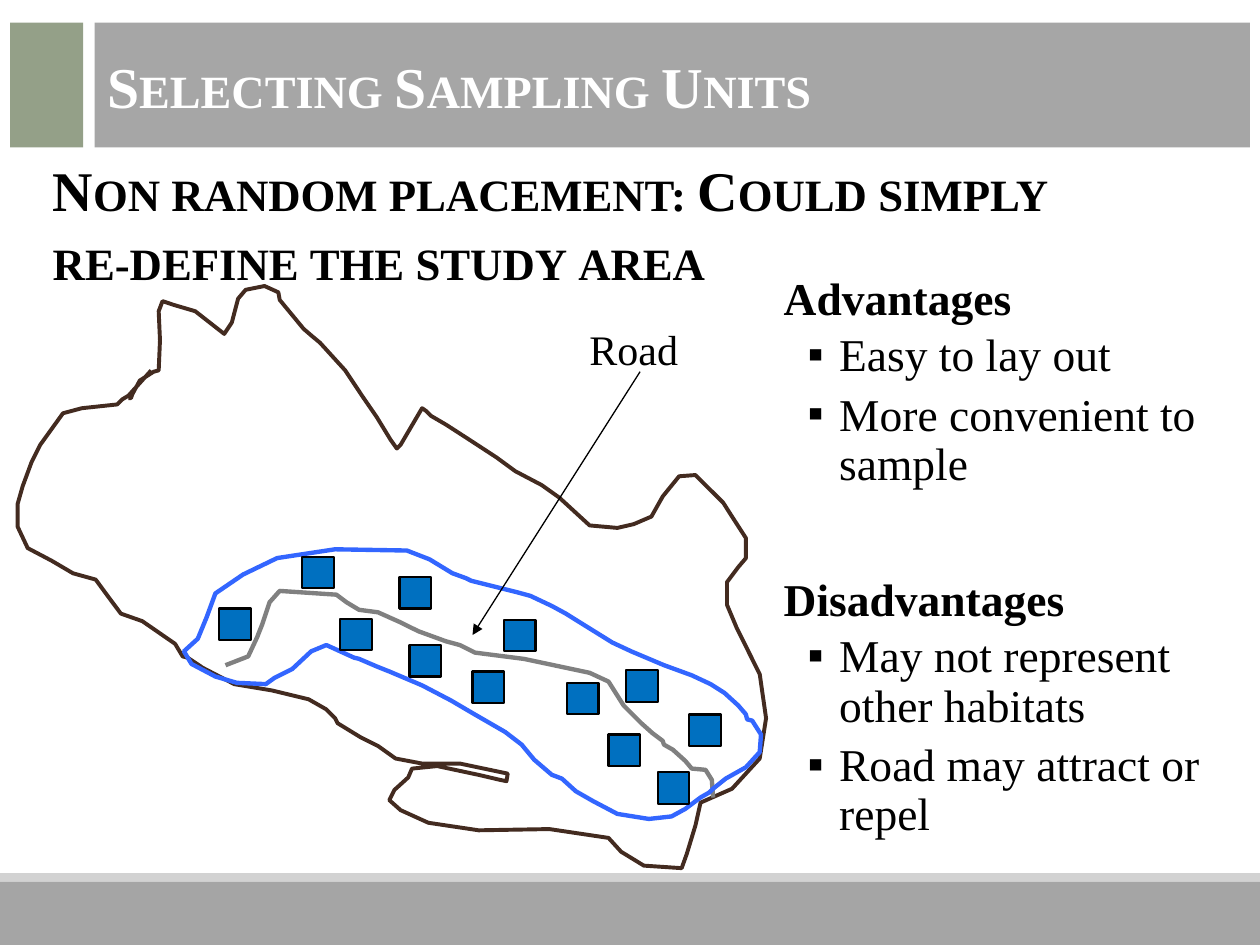
from dataclasses import dataclass

from lxml.etree import SubElement
from pptx import Presentation
from pptx.dml.color import RGBColor
from pptx.enum.shapes import MSO_CONNECTOR, MSO_SHAPE
from pptx.enum.text import MSO_ANCHOR, MSO_AUTO_SIZE, PP_ALIGN
from pptx.oxml.ns import qn
from pptx.util import Inches, Pt


@dataclass(frozen=True)
class Theme:
    font: str = "Times New Roman"
    title_size: int = 33
    subtitle_size: int = 32
    body_size: int = 26
    label_size: int = 24
    black: str = "000000"
    white: str = "FFFFFF"
    banner: str = "A6A6A6"
    accent: str = "94A088"
    footer: str = "808080"
    footer_edge: str = "BFBFBF"
    boundary: str = "432B20"
    road: str = "808080"
    sampled_area: str = "3366FF"
    plot: str = "0070C0"


theme = Theme()
presentation = Presentation()
presentation.slide_width, presentation.slide_height = Inches(10), Inches(7.5)
slide = presentation.slides.add_slide(presentation.slide_layouts[1])
shapes = slide.shapes

# The slide is a grid of 1000 columns by 750 rows of square cells
cell = presentation.slide_width // 1000


def add_block(left, top, width, height, fill):
    block = shapes.add_shape(MSO_SHAPE.RECTANGLE, left * cell, top * cell, width * cell, height * cell)
    block.shadow.inherit = False
    block.fill.solid()
    block.fill.fore_color.rgb = RGBColor.from_string(fill)
    block.line.fill.background()
    return block


def style_text(paragraph, size, color=theme.black, bold=False, small_caps=False):
    paragraph.font.name = theme.font
    paragraph.font.size = Pt(size)
    paragraph.font.bold = bold
    paragraph.font.color.rgb = RGBColor.from_string(color)
    if small_caps:
        for run in paragraph.runs:
            run._r.get_or_add_rPr().set("cap", "small")


# Footer bands
for top, height, fill in ((700, 50, theme.footer), (693, 7, theme.footer_edge)):
    band = add_block(0, top, 1000, height, fill)
    SubElement(band.fill._xPr.find(f".//{qn('a:srgbClr')}"), qn("a:alpha"), val="70000")

# Title banner
title = shapes.title
title.left, title.top, title.width, title.height = (n * cell for n in (75, 18, 917, 99))
title.fill.solid()
title.fill.fore_color.rgb = RGBColor.from_string(theme.banner)
title.text_frame.text = "Selecting Sampling Units"
title.text_frame.vertical_anchor = MSO_ANCHOR.MIDDLE
title.text_frame.auto_size = MSO_AUTO_SIZE.NONE
title.text_frame.paragraphs[0].alignment = PP_ALIGN.LEFT
style_text(title.text_frame.paragraphs[0], theme.title_size, theme.white, bold=True, small_caps=True)
add_block(8, 18, 58, 99, theme.accent)

subtitle = shapes.add_textbox(32 * cell, 118 * cell, 841 * cell, 118 * cell).text_frame
subtitle.word_wrap = True
subtitle.text = "Non random placement: Could simply\nre-define the study area"
for paragraph in subtitle.paragraphs:
    paragraph.line_spacing = Pt(39)
    style_text(paragraph, theme.subtitle_size, bold=True, small_caps=True)

# Map outlines, as column and row of each point
boundary = [
    (120, 294), (102, 314), (97, 317), (93, 321), (65, 324), (50, 328), (32, 353), (25, 367),
    (18, 386), (14, 400), (14, 418), (22, 435), (41, 445), (58, 455), (76, 460), (87, 475),
    (96, 487), (113, 493), (139, 511), (145, 521), (149, 522), (161, 530), (186, 543), (216, 548),
    (245, 555), (259, 563), (266, 570), (268, 574), (286, 585), (300, 592), (314, 602), (335, 606),
    (365, 606), (403, 614), (402, 620), (397, 619), (380, 615), (347, 608), (327, 610), (324, 617),
    (313, 627), (309, 635), (318, 643), (340, 653), (380, 659), (436, 658), (483, 665), (493, 676),
    (511, 687), (541, 689), (545, 678), (552, 655), (556, 637), (581, 626), (603, 602), (608, 570),
    (603, 535), (592, 513), (585, 499), (577, 480), (577, 462), (586, 450), (592, 443), (592, 427),
    (581, 410), (574, 399), (552, 377), (539, 378), (526, 394), (517, 410), (503, 416), (490, 419),
    (468, 417), (444, 395), (430, 385), (409, 374), (394, 363), (371, 348), (354, 337), (342, 330),
    (338, 326), (335, 324), (318, 353), (315, 356), (310, 349), (299, 331), (288, 315), (274, 294),
    (254, 272), (248, 267), (241, 261), (222, 238), (221, 232), (210, 227), (195, 230), (189, 237),
    (184, 256), (178, 265), (155, 247), (138, 242), (129, 239), (126, 247), (127, 270), (126, 294),
    (122, 295), (111, 302), (105, 313), (104, 316), (102, 316),
]
road = [
    (179, 528), (197, 521), (204, 506), (208, 496), (214, 478), (222, 469), (267, 472), (275, 478),
    (285, 484), (300, 486), (318, 494), (332, 501), (354, 509), (365, 512), (377, 518), (416, 523),
    (468, 534), (483, 541), (495, 560), (509, 574), (518, 582), (526, 588), (527, 591), (534, 595),
    (544, 604), (549, 610), (560, 611), (565, 619), (566, 633),
]
sampled_area = [
    (146, 517), (157, 507), (164, 490), (171, 471), (193, 456), (220, 443), (266, 436), (323, 437),
    (341, 444), (359, 455), (370, 459), (374, 461), (410, 470), (421, 473), (438, 481), (449, 487),
    (457, 492), (486, 510), (501, 517), (527, 528), (538, 532), (549, 536), (564, 543), (575, 550),
    (586, 560), (592, 567), (593, 571), (597, 572), (604, 583), (603, 597), (592, 609), (576, 618),
    (566, 626), (563, 629), (556, 633), (544, 642), (533, 648), (515, 650), (490, 646), (471, 636),
    (457, 628), (446, 618), (438, 615), (424, 603), (414, 591), (401, 581), (375, 566), (358, 556),
    (335, 544), (309, 533), (299, 529), (285, 523), (281, 522), (259, 512), (247, 517), (232, 531),
    (218, 538), (211, 543), (188, 542), (171, 537), (152, 527),
]
for points, color, weight, closed in (
    (boundary, theme.boundary, 2.25, False),
    (road, theme.road, 2.5, False),
    (sampled_area, theme.sampled_area, 2.5, True),
):
    builder = shapes.build_freeform(*points[0], scale=cell)
    builder.add_line_segments(points[1:], close=closed)
    outline = builder.convert_to_shape()
    outline.shadow.inherit = False
    outline.fill.background()
    outline.line.color.rgb = RGBColor.from_string(color)
    outline.line.width = Pt(weight)

# Sampling plots
for left, top in (
    (174, 483), (240, 442), (270, 491), (400, 492), (450, 542), (547, 567),
    (317, 458), (325, 512), (375, 533), (497, 532), (483, 583), (522, 613),
):
    plot = add_block(left, top, 25, 25, theme.plot)
    plot.line.color.rgb = RGBColor.from_string(theme.black)
    plot.line.width = Pt(1.25)

# Road label and its arrow
road_label = shapes.add_textbox(458 * cell, 252 * cell, 92 * cell, 50 * cell).text_frame
road_label.word_wrap = True
road_label.text = "Road"
style_text(road_label.paragraphs[0], theme.label_size)
road_arrow = shapes.add_connector(MSO_CONNECTOR.STRAIGHT, 508 * cell, 295 * cell, 375 * cell, 504 * cell)
road_arrow.line.color.rgb = RGBColor.from_string(theme.black)
road_arrow.line.width = Pt(0.75)
SubElement(road_arrow.line._get_or_add_ln(), qn("a:tailEnd"), type="triangle")
SubElement(road_arrow._element.spPr, qn("a:effectLst"))

# Advantages and disadvantages
pros_and_cons = (
    ("Advantages", 12, ("Easy to lay out", "More convenient to sample")),
    ("Disadvantages", 46, ("May not represent other habitats", "Road may attract or repel")),
)
body = slide.placeholders[1]
body.left, body.top, body.width, body.height = (n * cell for n in (612, 214, 362, 480))
body.text_frame.auto_size = MSO_AUTO_SIZE.NONE
lines = []
for heading, gap, points in pros_and_cons:
    lines.append((heading, 0, gap, 2))
    lines += [(point, 1, 2, 4) for point in points]
body.text_frame.text = "\n".join(line[0] for line in lines)
for paragraph, (_, level, before, after) in zip(body.text_frame.paragraphs, lines):
    paragraph.level = level
    properties = paragraph._p.get_or_add_pPr()
    properties.set("marL", str(level * Inches(0.44)))
    properties.set("indent", str(level * Inches(-0.25)))
    if level:
        bullet_color = SubElement(properties, qn("a:buClr"))
        SubElement(bullet_color, qn("a:srgbClr"), val=theme.black)
        SubElement(properties, qn("a:buFont"), typeface=theme.font)
        SubElement(properties, qn("a:buChar"), char="▪")
    else:
        SubElement(properties, qn("a:buNone"))
    paragraph.line_spacing = 0.9
    paragraph.space_before, paragraph.space_after = Pt(before), Pt(after)
    style_text(paragraph, theme.body_size, bold=not level)

presentation.save("out.pptx")
